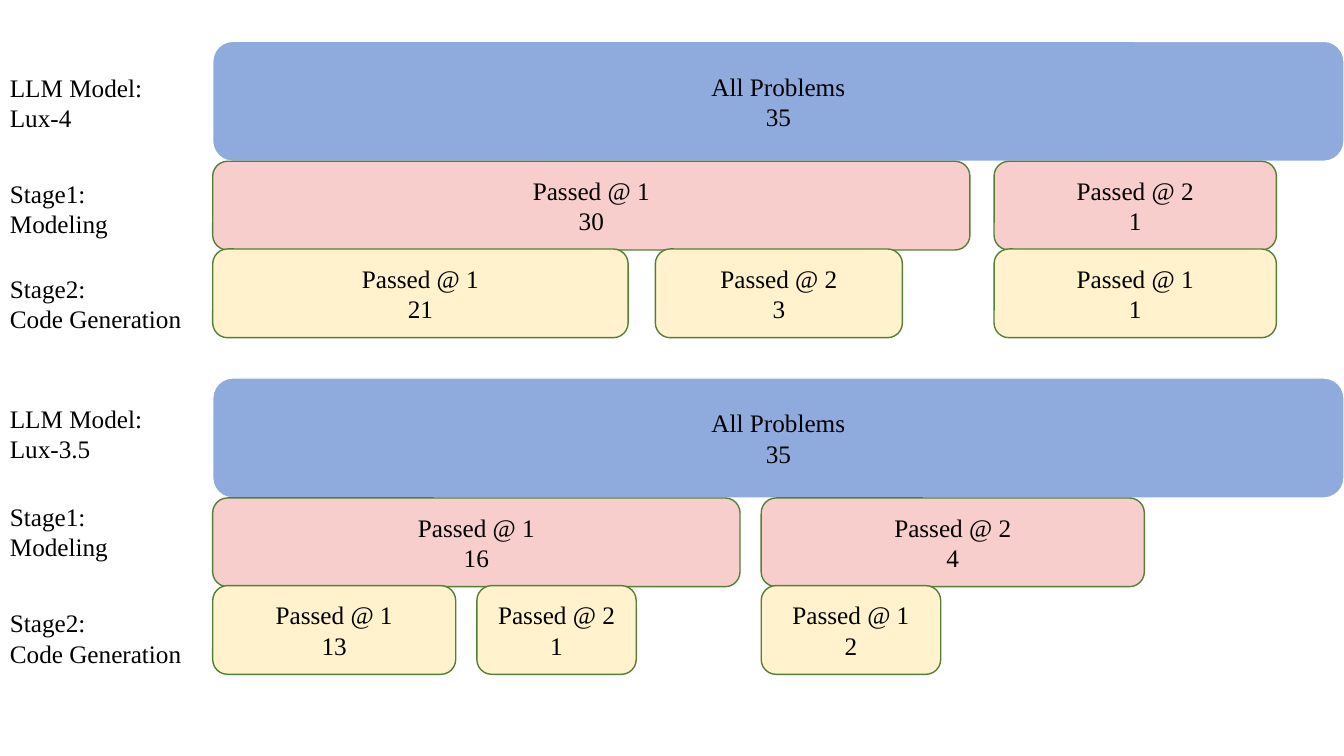
from pptx import Presentation
from pptx import util as u
from pptx.dml.color import RGBColor
from pptx.enum import shapes, text

# Content: each row is (label, label top, label width, boxes);
# each box is (caption, count, left, width)
SECTIONS = [
    (0.41, [
        (("LLM Model:", "Lux-4"), 0.67, 1.67, [("All Problems", 35, 2.11, 11.22)]),
        (("Stage1:", "Modeling"), 1.72, 2.11,
         [("Passed @ 1", 30, 2.11, 7.51), ("Passed @ 2", 1, 9.86, 2.8)]),
        (("Stage2:", "Code Generation"), 2.66, 3.06,
         [("Passed @ 1", 21, 2.11, 4.12), ("Passed @ 2", 3, 6.5, 2.45),
          ("Passed @ 1", 1, 9.86, 2.8)]),
    ]),
    (3.75, [
        (("LLM Model:", "Lux-3.5"), 3.95, 1.67, [("All Problems", 35, 2.11, 11.22)]),
        (("Stage1:", "Modeling"), 4.92, 2.11,
         [("Passed @ 1", 16, 2.11, 5.23), ("Passed @ 2", 4, 7.55, 3.8)]),
        (("Stage2:", "Code Generation"), 5.98, 3.06,
         [("Passed @ 1", 13, 2.11, 2.41), ("Passed @ 2", 1, 4.73, 1.58),
          ("Passed @ 1", 2, 7.55, 1.78)]),
    ]),
]

# Row styles: offset from section top, height, fill, outline
ROW_STYLES = [
    (0, 1.19, "8FAADC", "FFFFFF"),
    (1.19, 0.88, "F8CECC", "538035"),
    (2.06, 0.88, "FFF2CC", "538035"),
]
LABEL_HEIGHT = 0.71


def color(value):
    return RGBColor.from_string(value)


def write_lines(shape, lines, alignment):
    frame = shape.text_frame
    frame.word_wrap = True
    for index, line in enumerate(lines):
        paragraph = frame.add_paragraph() if index else frame.paragraphs[0]
        paragraph.alignment = alignment
        run = paragraph.add_run()
        run.text = str(line)
        run.font.name = "Times New Roman"
        run.font.size = u.Pt(18)
        run.font.color.rgb = color("000000")


def add_box(slide, lines, position, fill, outline):
    shape = slide.shapes.add_shape(
        shapes.MSO_SHAPE.ROUNDED_RECTANGLE, *map(u.Inches, position))
    shape.shadow.inherit = False
    shape.fill.solid()
    shape.fill.fore_color.rgb = color(fill)
    shape.line.color.rgb = color(outline)
    shape.line.width = u.Pt(1)
    shape.text_frame.vertical_anchor = text.MSO_ANCHOR.MIDDLE
    write_lines(shape, lines, text.PP_ALIGN.CENTER)


def add_label(slide, lines, top, width):
    shape = slide.shapes.add_textbox(
        *map(u.Inches, (0, top, width, LABEL_HEIGHT)))
    write_lines(shape, lines, text.PP_ALIGN.LEFT)
    shape.text_frame.auto_size = text.MSO_AUTO_SIZE.SHAPE_TO_FIT_TEXT


def main():
    presentation = Presentation()
    presentation.slide_width = u.Inches(13.33)
    presentation.slide_height = u.Inches(7.5)
    slide = presentation.slides.add_slide(presentation.slide_layouts[6])

    # One section per model, with three stacked rows
    for section_top, rows in SECTIONS:
        for row, (offset, height, fill, outline) in zip(rows, ROW_STYLES):
            label, label_top, label_width, boxes = row
            add_label(slide, label, label_top, label_width)
            for caption, count, left, width in boxes:
                position = (left, section_top + offset, width, height)
                add_box(slide, (caption, count), position, fill, outline)

    presentation.save("out.pptx")


if __name__ == "__main__":
    main()
